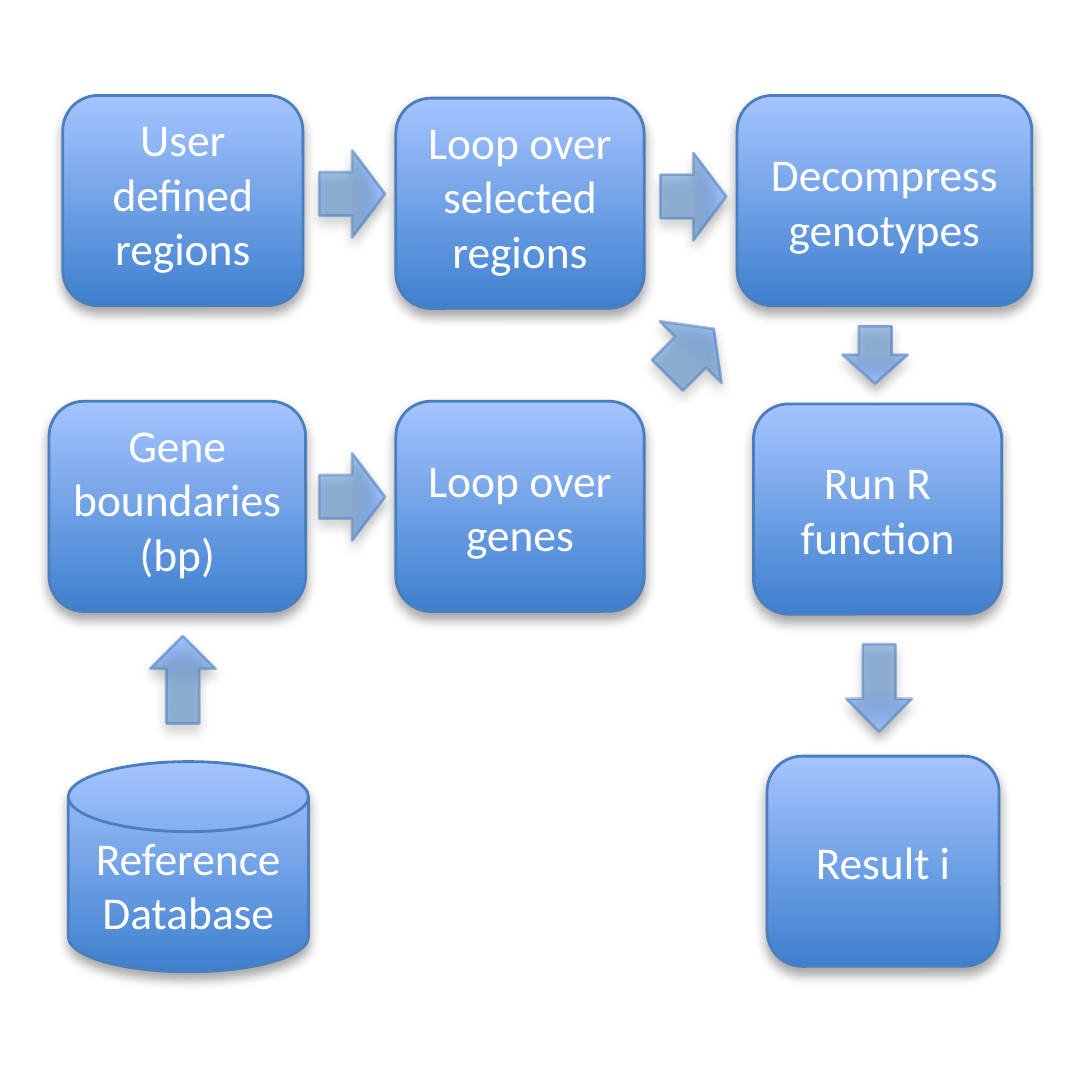
from dataclasses import dataclass
from lxml.etree import SubElement
from pptx import Presentation
from pptx.dml.color import RGBColor
from pptx.enum.shapes import MSO_SHAPE
from pptx.enum.text import MSO_ANCHOR, PP_ALIGN
from pptx.oxml.ns import qn
from pptx.util import Pt

SCALE = 9144


@dataclass(frozen=True)
class Theme:
    deep: str = "3F80CE"
    pale: str = "A4C4FF"
    edge: str = "4B7EBC"
    ink: str = "FFFFFF"
    shade: str = "000000"
    font: str = "Calibri"
    size: int = 12
    line: float = 0.75


THEME = Theme()


def px(count):
    return count * SCALE


def add_alpha(color, share):
    SubElement(color, qn("a:alpha"), val=str(share * 1000))


def add_shadow(shape):
    shape.shadow.inherit = False
    effects = shape.element.spPr.find(qn("a:effectLst"))
    outer = SubElement(
        effects, qn("a:outerShdw"), blurRad=str(Pt(3.1)), dist=str(Pt(1.8)),
        dir="5400000", rotWithShape="0")
    add_alpha(SubElement(outer, qn("a:srgbClr"), val=THEME.shade), 35)


def add_form(slide, kind, left, top, width, height, angle, start=0):
    shape = slide.shapes.add_shape(kind, px(left), px(top), px(width), px(height))
    shape.fill.gradient()
    shape.fill.gradient_angle = angle
    stops = zip(shape.fill.gradient_stops, (start, 1), (THEME.deep, THEME.pale))
    for stop, place, color in stops:
        stop.position = place
        stop.color.rgb = RGBColor.from_string(color)
    shape.line.color.rgb = RGBColor.from_string(THEME.edge)
    shape.line.width = Pt(THEME.line)
    add_shadow(shape)
    return shape


def write(shape, text, *, size, color, font, anchor):
    frame = shape.text_frame
    frame.word_wrap = True
    frame.vertical_anchor = anchor
    frame.margin_left = frame.margin_right = px(5)
    frame.margin_top = frame.margin_bottom = px(2)
    frame.text = text
    for para in frame.paragraphs:
        para.alignment = PP_ALIGN.CENTER
        para.font.size = Pt(size)
        para.font.name = font
        para.font.color.rgb = RGBColor.from_string(color)


def add_step(slide, text, left, top, width, kind=MSO_SHAPE.ROUNDED_RECTANGLE,
             anchor=MSO_ANCHOR.MIDDLE):
    step = add_form(slide, kind, left, top, width, 77, 90)
    write(step, text, size=THEME.size, color=THEME.ink, font=THEME.font, anchor=anchor)


def add_arrow(slide, left, top, width, height, turn=0):
    arrow = add_form(slide, MSO_SHAPE.RIGHT_ARROW, left, top, width, height, 0, 0.47)
    arrow.rotation = turn
    props = arrow.element.spPr
    add_alpha(props.find(".//" + qn("a:gs")).find(qn("a:srgbClr")), 47)
    add_alpha(props.find(qn("a:ln")).find(".//" + qn("a:srgbClr")), 49)


def main():
    deck = Presentation()
    deck.slide_width = deck.slide_height = px(400)
    slide = deck.slides.add_slide(deck.slide_layouts[6])

    add_step(slide, "User defined regions", 23, 35, 88, anchor=MSO_ANCHOR.TOP)
    add_step(slide, "Gene\nboundaries\n(bp)", 18, 147, 94, anchor=MSO_ANCHOR.TOP)
    add_step(slide, "Loop over selected regions", 145, 36, 91, anchor=MSO_ANCHOR.TOP)
    add_step(slide, "Decompress genotypes", 270, 35, 108)
    add_step(slide, "Loop over genes", 145, 147, 91)
    add_step(slide, "Run R function", 276, 148, 91)
    add_step(slide, "Result i", 281, 277, 85)
    add_step(slide, "Reference\nDatabase", 25, 279, 88,
             kind=MSO_SHAPE.FLOWCHART_MAGNETIC_DISK)

    for left, top, turn in (
            (117, 55, 0), (242, 56, 0), (117, 166, 0), (241, 113, 315)):
        add_arrow(slide, left, top, 24, 32, turn)
    for left, top, width, turn in (
            (310, 118, 21, 90), (306, 240, 32, 90), (51, 237, 32, 270)):
        add_arrow(slide, left, top, width, 24, turn)

    deck.save("out.pptx")


if __name__ == "__main__":
    main()
